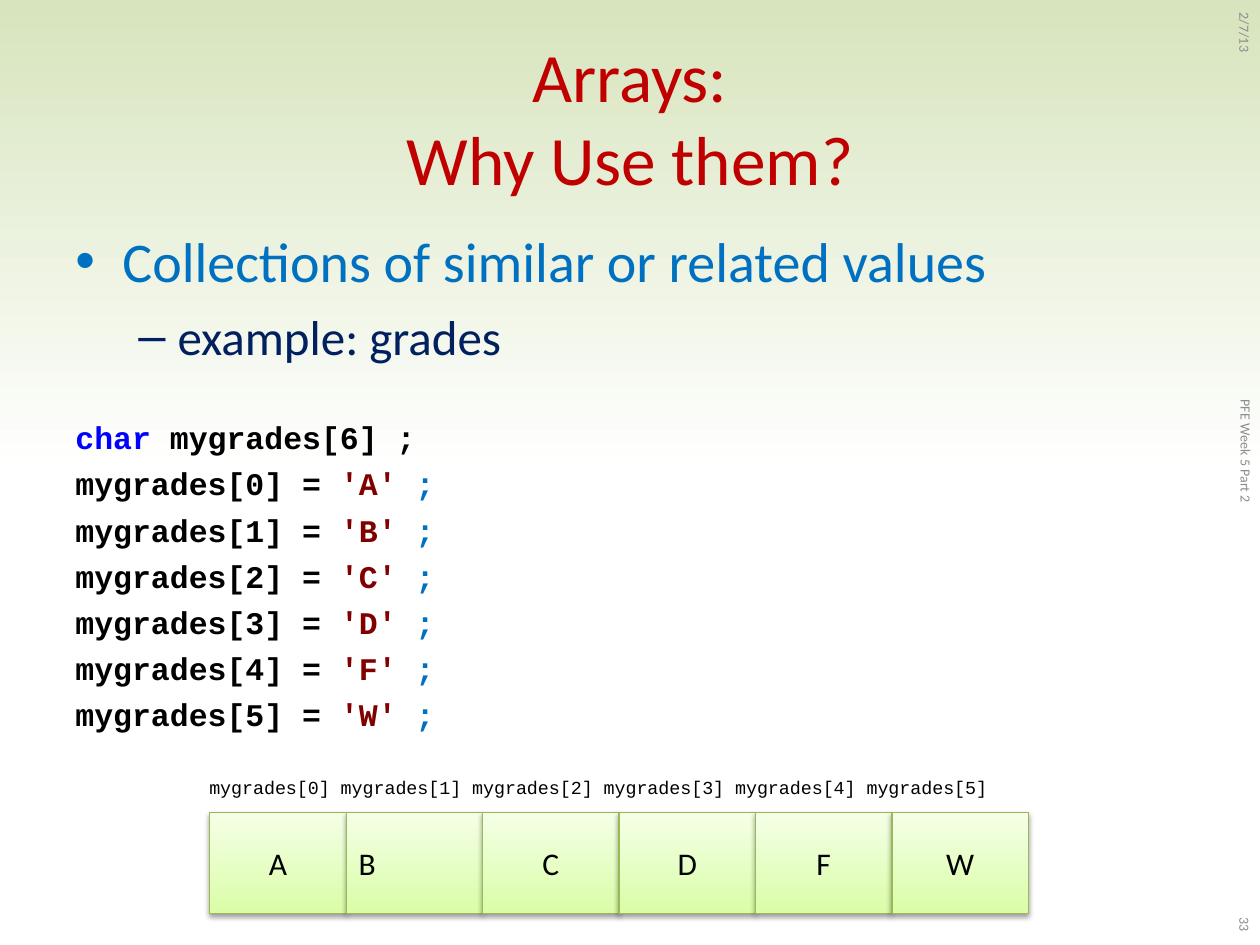
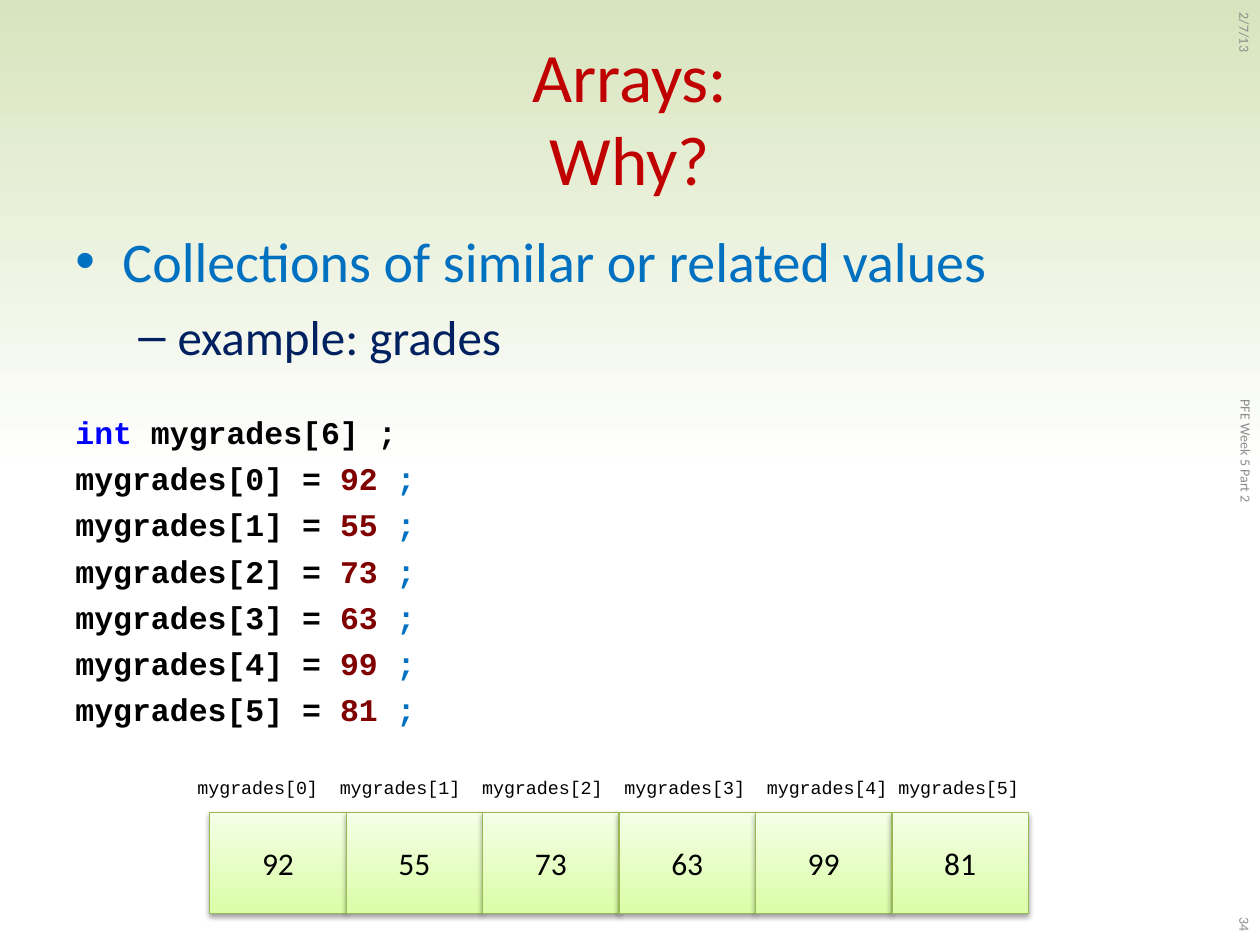
import pptx
import pptx.dml.color
import pptx.enum.shapes
import pptx.enum.text
import pptx.util
from lxml import etree
from pptx.oxml.ns import qn

Cm = pptx.util.Cm
Pt = pptx.util.Pt
ALIGN = pptx.enum.text.PP_ALIGN
ANCHOR = pptx.enum.text.MSO_ANCHOR

RED, BLUE, NAVY = "C00000", "0070C0", "002060"
BLACK, KEYWORD, VALUE, GREY = "000000", "0000FF", "800000", "8C8C8C"

TITLE = {"name": "Calibri", "size": Pt(39.6)}
POINT = {"name": "Calibri", "size": Pt(32)}
SUBPOINT = {"name": "Calibri", "size": Pt(28)}
CODE = {"name": "Courier New", "size": Pt(18), "bold": True}
CELL = {"name": "Calibri", "size": Pt(18)}
LABEL = {"name": "Courier New", "size": Pt(10.5)}
FOOTER = {"name": "Calibri", "size": Pt(8)}


def rgb(value):
    return pptx.dml.color.RGBColor.from_string(value)


def add_run(p, text, fmt, color):
    r = p.add_run()
    r.text = text
    for key, value in fmt.items():
        setattr(r.font, key, value)
    r.font.color.rgb = rgb(color)


slides = [
    {"title": "Why Use them?", "type": "char ", "gap": 30.5, "number": "33",
     "values": ["'A'", "'B'", "'C'", "'D'", "'F'", "'W'"],
     "label_left": 0.64, "label_inset": 3.58, "label_pitch": 2.65},
    {"title": "Why?", "type": "int ", "gap": 27.5, "number": "34",
     "values": ["92", "55", "73", "63", "99", "81"],
     "label_left": 0.84, "label_inset": 3.14, "label_pitch": 2.87},
]
points = [
    ("Collections of similar or related values", POINT, BLUE, "•", 0, 0.95, 0.95, 7.8),
    ("example: grades", SUBPOINT, NAVY, "–", 1, 2.06, 0.79, 6.8),
]

prs = pptx.Presentation()
prs.slide_width, prs.slide_height = Cm(25.4), Cm(19.05)

fill = prs.slide_master.background.fill
fill.gradient()
fill.gradient_angle = 270
for stop, color, position in zip(fill.gradient_stops, ("D7E4BD", "FFFFFF"), (0, 0.5)):
    stop.color.rgb = rgb(color)
    stop.position = position

for data in slides:
    s = prs.slides.add_slide(prs.slide_layouts[5])

    sp = s.shapes.title
    sp.left, sp.top, sp.width, sp.height = Cm(1.27), Cm(0.76), Cm(22.86), Cm(3.18)
    tf = sp.text_frame
    tf.auto_size = pptx.enum.text.MSO_AUTO_SIZE.NONE
    tf.vertical_anchor = ANCHOR.MIDDLE
    p = tf.paragraphs[0]
    p.alignment = ALIGN.CENTER
    add_run(p, "Arrays:", TITLE, RED)
    p.add_line_break()
    etree.SubElement(p._p[-1], qn("a:rPr"), sz="3960")
    add_run(p, data["title"], TITLE, RED)

    tf = s.shapes.add_textbox(Cm(1.27), Cm(4.45), Cm(22.86), Cm(12.57)).text_frame
    tf.word_wrap = True
    p = tf.paragraphs[0]
    for text, fmt, color, bullet, level, margin, hang, before in points:
        p.level = level
        p.space_before = Pt(before)
        pPr = p._p.get_or_add_pPr()
        pPr.set("marL", str(Cm(margin)))
        pPr.set("indent", str(-Cm(hang)))
        etree.SubElement(pPr, qn("a:buFont"), typeface="Arial")
        etree.SubElement(pPr, qn("a:buChar"), char=bullet)
        add_run(p, text, fmt, color)
        p = tf.add_paragraph()
    p.space_before = Pt(data["gap"])
    add_run(p, data["type"], CODE, KEYWORD)
    add_run(p, "mygrades[6] ;", CODE, BLACK)
    for i, value in enumerate(data["values"]):
        p = tf.add_paragraph()
        p.space_before = Pt(4.8)
        add_run(p, f"mygrades[{i}] = ", CODE, BLACK)
        add_run(p, value, CODE, VALUE)
        add_run(p, " ;", CODE, BLUE)

    for i, value in enumerate(data["values"]):
        sp = s.shapes.add_shape(pptx.enum.shapes.MSO_SHAPE.RECTANGLE,
                                Cm(4.23 + 2.75 * i), Cm(16.38), Cm(2.75), Cm(2.03))
        sp.fill.gradient()
        sp.fill.gradient_angle = 90
        for stop, color, position in zip(sp.fill.gradient_stops, ("DAFDA7", "F5FFE7"), (0, 1)):
            stop.color.rgb = rgb(color)
            stop.position = position
        sp.line.color.rgb = rgb("98B955")
        sp.line.width = Pt(0.75)
        sp.shadow.inherit = False
        effects = sp._element.spPr.find(qn("a:effectLst"))
        shadow = etree.SubElement(effects, qn("a:outerShdw"), blurRad="40000", dist="20000",
                                  dir="5400000", rotWithShape="0")
        black = etree.SubElement(shadow, qn("a:srgbClr"), val=BLACK)
        etree.SubElement(black, qn("a:alpha"), val="38000")
        sp.text_frame.vertical_anchor = ANCHOR.MIDDLE
        p = sp.text_frame.paragraphs[0]
        p.alignment = ALIGN.JUSTIFY if value == "'B'" else ALIGN.CENTER
        add_run(p, value.strip("'"), CELL, BLACK)

    tf = s.shapes.add_textbox(Cm(data["label_left"]), Cm(15.52), Cm(23.29), Cm(1.6)).text_frame
    tf.word_wrap = True
    tf.margin_left = Cm(data["label_inset"])
    p = tf.paragraphs[0]
    tabs = etree.SubElement(p._p.get_or_add_pPr(), qn("a:tabLst"))
    pitch = data["label_pitch"]
    for stop in [pitch * i for i in range(1, 5)] + [pitch * 4 + 2.65]:
        etree.SubElement(tabs, qn("a:tab"), pos=str(Cm(stop)), algn="l")
    add_run(p, "\t".join(f"mygrades[{i}]" for i in range(6)), LABEL, BLACK)

    for text, left, top, width, align in [
        ("2/7/13", 21.92, 2.46, 5.92, ALIGN.LEFT),
        ("PFE Week 5 Part 2", 20.88, 8.59, 8.05, ALIGN.CENTER),
        (data["number"], 21.92, 15.57, 5.92, ALIGN.RIGHT),
    ]:
        sp = s.shapes.add_textbox(Cm(left), Cm(top), Cm(width), Cm(1.02))
        sp.rotation = 90
        sp.text_frame.word_wrap = True
        p = sp.text_frame.paragraphs[0]
        p.alignment = align
        add_run(p, text, FOOTER, GREY)

prs.save("out.pptx")
